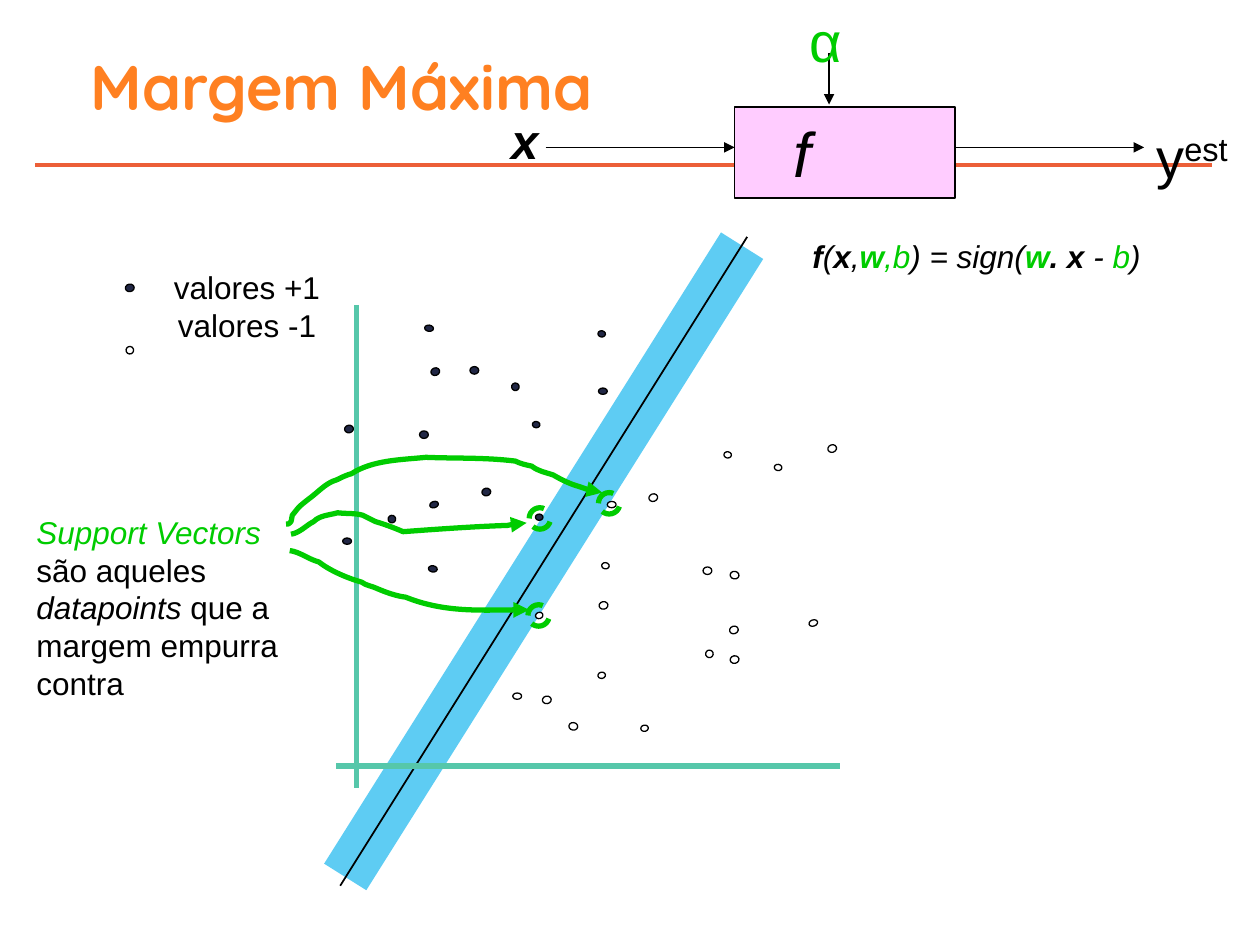
from dataclasses import dataclass
from typing import Optional

from lxml import etree
from pptx import Presentation
from pptx.dml.color import RGBColor
from pptx.enum.dml import MSO_LINE
from pptx.enum.shapes import MSO_CONNECTOR, MSO_SHAPE
from pptx.enum.text import MSO_ANCHOR, PP_ALIGN
from pptx.oxml.ns import qn
from pptx.util import Inches, Pt

LEFT, MID = PP_ALIGN.LEFT, PP_ALIGN.CENTER
TOP, CENTER, BOTTOM = MSO_ANCHOR.TOP, MSO_ANCHOR.MIDDLE, MSO_ANCHOR.BOTTOM
RECT, OVAL = MSO_SHAPE.RECTANGLE, MSO_SHAPE.OVAL
STRAIGHT, DASH = MSO_CONNECTOR.STRAIGHT, MSO_LINE.DASH

INK = {
    "black": "000000", "white": "FFFFFF", "orange": "FF8021", "rule": "EC5F38",
    "band": "5ECCF3", "axis": "56C7AA", "pink": "FFCCFF", "green": "00CC00",
    "navy": "212745", "mint": "DFEAE2",
}


@dataclass
class Run:
    text: str
    ink: str = "black"
    bold: bool = False
    ital: bool = False
    sup: bool = False


@dataclass
class Label:
    box: tuple
    paras: list
    size: float
    align: PP_ALIGN = MID
    font: str = "Arial"
    anchor: MSO_ANCHOR = TOP
    pad: tuple = (0.1, 0.05, 0.1, 0.05)


@dataclass
class Line:
    start: tuple
    end: tuple
    ink: str
    width: float
    arrow: bool = False


@dataclass
class Dots:
    ink: str
    turn: float
    boxes: list


LINES = [
    Line((0.28, 1.31), (9.62, 1.31), "rule", 2.25),
    Line((2.74, 6.96), (5.89, 1.95), "band", 28.5),
    Line((2.7, 7.03), (5.93, 1.88), "black", 1),
    Line((4.33, 1.17), (5.83, 1.17), "black", 1, True),
    Line((6.58, 0.42), (6.58, 0.83), "black", 1, True),
    Line((7.58, 1.17), (9.08, 1.17), "black", 1, True),
    Line((2.83, 2.42), (2.83, 6.25), "axis", 3),
    Line((2.67, 6.08), (6.67, 6.08), "axis", 3),
]

DOTS = [
    Dots("navy", 0, [
        (2.72, 4.27, 0.07, 0.05), (4.75, 3.08, 0.07, 0.05), (3.73, 2.91, 0.07, 0.06),
        (4.25, 4.08, 0.06, 0.05), (3.33, 3.42, 0.07, 0.06)]),
    Dots("white", 0, [
        (4.07, 5.5, 0.07, 0.05), (4.82, 3.98, 0.07, 0.05), (5.58, 4.5, 0.07, 0.06)]),
    Dots("navy", 341.4, [(3.42, 2.92, 0.07, 0.06), (3.41, 3.98, 0.07, 0.05)]),
    Dots("white", 341.4, [
        (4.25, 4.86, 0.06, 0.05), (6.57, 3.53, 0.07, 0.06), (5.79, 4.97, 0.07, 0.06),
        (5.15, 3.92, 0.07, 0.06), (6.42, 4.92, 0.07, 0.05)]),
    Dots("navy", 98.3, [
        (4.23, 3.34, 0.05, 0.06), (3.41, 4.48, 0.05, 0.07), (4.75, 2.62, 0.05, 0.06),
        (3.38, 2.57, 0.05, 0.07)]),
    Dots("white", 98.3, [
        (1, 2.75, 0.06, 0.06), (4.52, 5.73, 0.06, 0.07), (5.8, 4.53, 0.06, 0.07),
        (4.78, 4.46, 0.05, 0.06), (6.15, 3.68, 0.05, 0.06), (5.75, 3.58, 0.05, 0.06),
        (5.6, 5.16, 0.06, 0.06)]),
    Dots("navy", 79.6, [
        (1, 2.25, 0.06, 0.07), (3.83, 3.87, 0.06, 0.07), (3.08, 4.09, 0.06, 0.06),
        (4.06, 3.04, 0.06, 0.06), (2.74, 3.37, 0.06, 0.07)]),
    Dots("white", 79.6, [
        (5.09, 5.75, 0.05, 0.06), (4.75, 5.33, 0.05, 0.06), (4.76, 4.77, 0.06, 0.07),
        (4.31, 5.52, 0.06, 0.07), (5.8, 5.2, 0.06, 0.07)]),
]
RINGS = [(4.75, 3.91), (4.2, 4.03), (4.19, 4.8)]

# Each curve is a start point, then cubic steps (six numbers) or straight ones (two).
CURVES = [
    [(2.31, 4.24), (2.38, 4.23, 2.43, 4.17, 2.49, 4.14),
     (2.54, 4.09, 2.61, 4.09, 2.68, 4.07), (2.77, 4.08, 2.81, 4.07, 2.88, 4.09),
     (2.98, 4.14), (3.05, 4.16, 3.13, 4.19, 3.2, 4.22),
     (3.47, 4.2, 3.75, 4.18, 4.03, 4.17), (4.08, 4.16, 4.13, 4.15, 4.18, 4.15)],
    [(2.27, 4.16), (2.28, 4.16, 2.3, 4.16, 2.3, 4.15),
     (2.32, 4.14, 2.31, 4.11, 2.32, 4.09), (2.33, 4.07, 2.35, 4.06, 2.36, 4.04),
     (2.38, 4.01, 2.48, 3.94, 2.49, 3.93), (2.55, 3.88, 2.6, 3.83, 2.67, 3.81),
     (2.71, 3.79, 2.75, 3.77, 2.79, 3.76), (2.96, 3.65, 3.19, 3.65, 3.38, 3.63),
     (3.62, 3.64, 3.85, 3.63, 4.09, 3.66), (4.13, 3.68, 4.17, 3.69, 4.22, 3.7),
     (4.27, 3.74, 4.33, 3.75, 4.39, 3.77), (4.46, 3.81, 4.52, 3.84, 4.59, 3.86),
     (4.65, 3.88, 4.72, 3.91, 4.78, 3.91)],
    [(2.3, 4.37), (2.38, 4.38, 2.45, 4.44, 2.53, 4.46),
     (2.62, 4.53, 2.76, 4.59, 2.87, 4.62), (2.91, 4.65, 2.95, 4.65, 2.99, 4.67),
     (3.06, 4.7, 3.14, 4.73, 3.22, 4.74), (3.52, 4.86, 3.88, 4.84, 4.2, 4.84)],
]

MODEL = Label((5.83, 0.85, 1.75, 0.72), [[Run("f", ital=True)]], 36,
              anchor=CENTER, pad=(0.1, 0.05, 0.78, 0.05))
LABELS = [
    Label((0.17, 0.33, 5.08, 0.75), [[Run("Margem Máxima", "orange", True)]], 36,
          font="Quicksand", anchor=BOTTOM, pad=(0.1, 0.05, 0.1, 0.1)),
    Label((3.83, 0.83, 0.67, 0.57), [[Run("x", bold=True, ital=True)]], 28),
    Label((6.33, 0, 0.42, 0.63), [[Run("α", "green")]], 32),
    Label((9.08, 0.92, 0.92, 0.63), [[Run("y"), Run("est", sup=True)]], 32, LEFT),
    Label((6, 1.83, 3.5, 0.43), [[
        Run("f", bold=True, ital=True), Run("(", ital=True),
        Run("x", bold=True, ital=True), Run(",", ital=True),
        Run("w", "green", True, True), Run(",b", "green", ital=True),
        Run(") = sign(", ital=True), Run("w", "green", True, True),
        Run(". x ", bold=True, ital=True), Run("- ", ital=True),
        Run("b", "green", ital=True), Run(")", ital=True)]], 18),
    Label((0.19, 4.02, 2.32, 1.62), [[
        Run("Support Vectors ", "green", ital=True), Run("são aqueles "),
        Run("datapoints", ital=True), Run(" que a margem empurra contra")]], 18, LEFT),
    Label((0.92, 2.08, 2.08, 0.71), [[Run("valores +1")], [Run("valores -1")]], 18),
]


def tint(name: str) -> RGBColor:
    return RGBColor.from_string(INK[name])


def stroke(line, ink: str, width: float, arrow: bool = False) -> None:
    line.color.rgb = tint(ink)
    line.width = Pt(width)
    if arrow:
        etree.SubElement(line._get_or_add_ln(), qn("a:tailEnd"), type="triangle")


def write(frame, label: Label) -> None:
    frame.word_wrap = True
    frame.vertical_anchor = label.anchor
    (frame.margin_left, frame.margin_top,
     frame.margin_right, frame.margin_bottom) = map(Inches, label.pad)
    for i, runs in enumerate(label.paras):
        para = frame.add_paragraph() if i else frame.paragraphs[0]
        para.alignment = label.align
        para.font.name, para.font.size = label.font, Pt(label.size)
        for part in runs:
            run = para.add_run()
            run.text = part.text
            run.font.color.rgb = tint(part.ink)
            run.font.bold, run.font.italic = part.bold, part.ital
            if part.sup:
                run._r.get_or_add_rPr().set("baseline", "30000")


def shape(shapes, kind: MSO_SHAPE, box: tuple, fill: Optional[str],
          ink: Optional[str] = None, width: float = 1):
    item = shapes.add_shape(kind, *map(Inches, box))
    item.shadow.inherit = False
    if fill:
        item.fill.solid()
        item.fill.fore_color.rgb = tint(fill)
    else:
        item.fill.background()
    if ink:
        stroke(item.line, ink, width)
    else:
        item.line.fill.background()
    return item


def join(shapes, line: Line) -> None:
    item = shapes.add_connector(STRAIGHT, *map(Inches, line.start + line.end))
    etree.SubElement(item._element.spPr, qn("a:effectLst"))
    stroke(item.line, line.ink, line.width, line.arrow)


def curve(shapes, steps: list) -> None:
    """Draw an open outline through the step ends, then bend its cubic steps."""
    first, *rest = [tuple(map(Inches, step[-2:])) for step in steps]
    pen = shapes.build_freeform(*first)
    pen.add_line_segments(rest, close=False)
    item = pen.convert_to_shape()
    item.shadow.inherit = False
    item.fill.background()
    stroke(item.line, "green", 3, True)
    for step, old in zip(steps[1:], list(item._element.iter(qn("a:lnTo")))):
        if len(step) == 2:
            continue
        bend = etree.Element(qn("a:cubicBezTo"))
        for x, y in zip(step[::2], step[1::2]):
            etree.SubElement(bend, qn("a:pt"), x=str(Inches(x) - item.left),
                             y=str(Inches(y) - item.top))
        old.getparent().replace(old, bend)


def main() -> None:
    deck = Presentation()
    deck.slide_width, deck.slide_height = Inches(10), Inches(7.5)
    slide = deck.slides.add_slide(deck.slide_layouts[6])
    slide.background.fill.solid()
    slide.background.fill.fore_color.rgb = tint("mint")
    shapes = slide.shapes
    shape(shapes, RECT, (0, 0, 10, 7.5), "white")
    for line in LINES:
        join(shapes, line)
    model = shape(shapes, RECT, MODEL.box, "pink", "black")
    write(model.text_frame, MODEL)
    for group in DOTS:
        for box in group.boxes:
            dot = shape(shapes, OVAL, box, group.ink, "black", 0.75)
            dot.rotation = group.turn
    for steps in CURVES:
        curve(shapes, steps)
    for spot in RINGS:
        ring = shape(shapes, OVAL, spot + (0.17, 0.17), None, "green", 3)
        ring.line.dash_style = DASH
    for label in LABELS:
        write(shapes.add_textbox(*map(Inches, label.box)).text_frame, label)
    deck.save("out.pptx")


if __name__ == "__main__":
    main()
